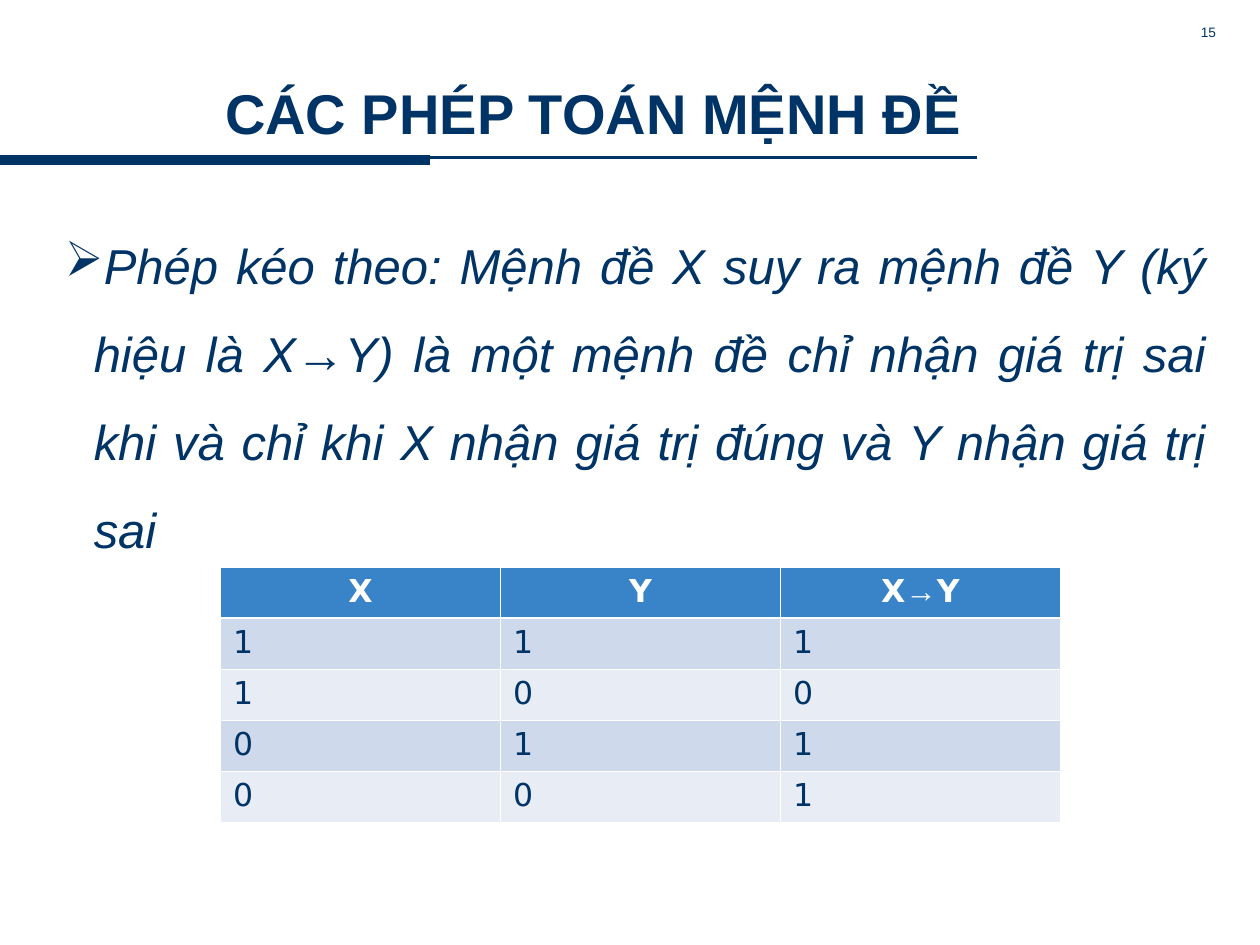
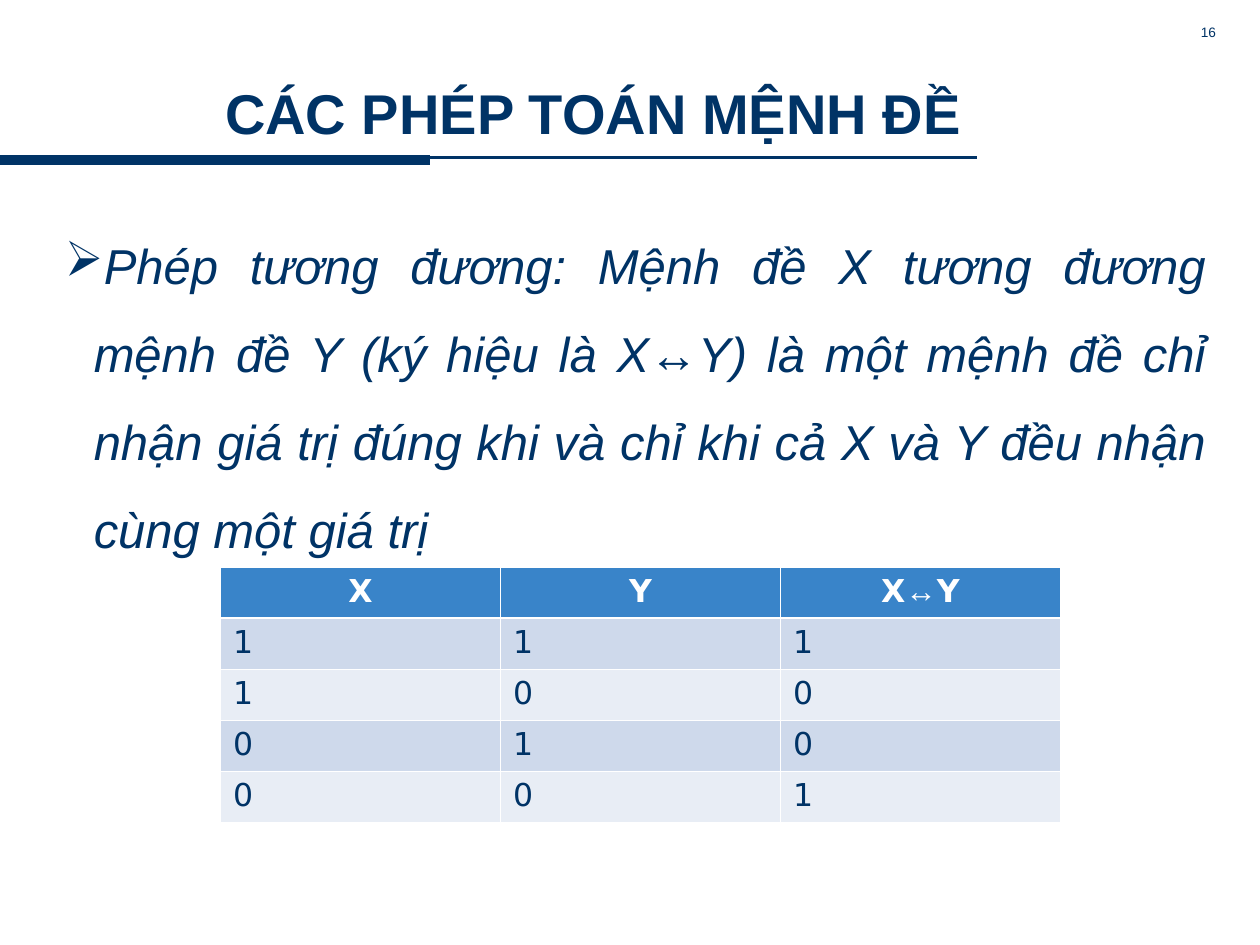
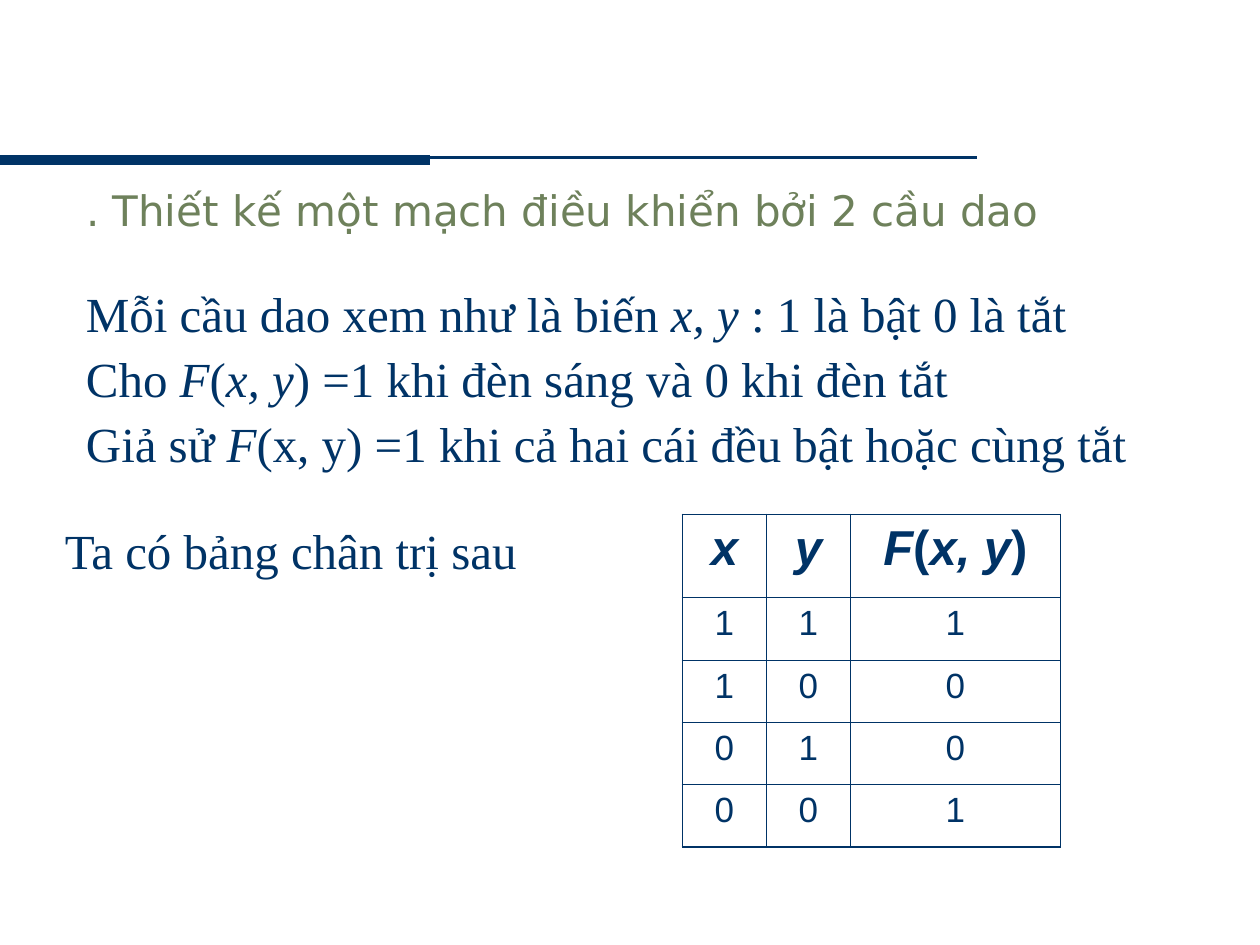
from dataclasses import dataclass
from typing import NamedTuple, Optional

from lxml.etree import SubElement
from pptx import Presentation
from pptx.dml.color import RGBColor
from pptx.enum.shapes import MSO_CONNECTOR
from pptx.enum.text import MSO_ANCHOR, MSO_AUTO_SIZE, PP_ALIGN
from pptx.oxml.ns import qn
from pptx.util import Pt


@dataclass(frozen=True)
class Theme:
    navy: str = "003366"
    white: str = "FFFFFF"
    olive: str = "6E815B"
    header_blue: str = "3984C9"
    dark_band: str = "CED9EB"
    light_band: str = "E8EDF5"
    sans: str = "Arial"
    wide_sans: str = "DejaVu Sans"
    serif: str = "Times New Roman"
    title_size: float = 32
    body_size: float = 28
    heading_size: float = 24
    plain_cell_size: float = 20
    banded_cell_size: float = 18
    number_size: float = 7.8
    thin_border: float = 0.45
    outer_border: float = 1.08
    header_border: float = 1.47


THEME = Theme()


class Box(NamedTuple):
    left: float
    top: float
    width: float
    height: float


class Style(NamedTuple):
    font: str
    size: float
    color: str = THEME.navy
    bold: bool = False
    italic: bool = False
    align: PP_ALIGN = PP_ALIGN.LEFT
    line_spacing: float = 1.0
    space_before: float = 0


class Span(NamedTuple):
    text: str
    italic: Optional[bool] = None
    font: Optional[str] = None


class Rule(NamedTuple):
    start: float
    end: float
    top: float
    weight: float


class Borders(NamedTuple):
    left: float
    right: float
    top: float
    bottom: float


@dataclass(frozen=True)
class TruthTable:
    left: float
    top: float
    column_widths: list
    header_height: float
    row_height: float
    header: list
    values: list
    header_style: Style
    value_style: Style
    banded: bool


@dataclass(frozen=True)
class OperationSlide:
    number: int
    definition: str
    operator: str
    results: str


TITLE = "CÁC PHÉP TOÁN MỆNH ĐỀ"
INPUTS = ["11", "10", "01", "00"]
RULES = [Rule(558, 0, 90, 1.5), Rule(0, 246, 91.5, 6)]
TITLE_BOX = Box(36, 42, 606, 44.4)
NUMBER_BOX = Box(564, 12, 138, 18)
DEFINITION_BOX = Box(30, 114, 666, 209)
HEADING_BOX = Box(42, 102, 636, 78)
ASSUMPTION_BOX = Box(42, 162, 660, 112)
TABLE_NOTE_BOX = Box(30, 294, 312, 41)

TITLE_STYLE = Style(THEME.sans, THEME.title_size, bold=True, align=PP_ALIGN.CENTER)
NUMBER_STYLE = Style(THEME.sans, THEME.number_size, align=PP_ALIGN.RIGHT, line_spacing=0.8)
DEFINITION_STYLE = Style(THEME.sans, THEME.body_size, italic=True,
                         align=PP_ALIGN.JUSTIFY, line_spacing=1.5)
HEADING_STYLE = Style(THEME.wide_sans, THEME.heading_size, THEME.olive)
ASSUMPTION_STYLE = Style(THEME.serif, THEME.body_size, line_spacing=0.9, space_before=7)
TABLE_NOTE_STYLE = Style(THEME.serif, THEME.body_size)
BANDED_HEADER = Style(THEME.wide_sans, THEME.banded_cell_size, THEME.white,
                      bold=True, align=PP_ALIGN.CENTER)
BANDED_VALUE = Style(THEME.wide_sans, THEME.banded_cell_size)
PLAIN_HEADER = Style(THEME.sans, THEME.body_size, bold=True, italic=True,
                     align=PP_ALIGN.CENTER)
PLAIN_VALUE = Style(THEME.sans, THEME.plain_cell_size, align=PP_ALIGN.CENTER)

OPERATIONS = [
    OperationSlide(
        15,
        "Phép kéo theo: Mệnh đề X suy ra mệnh đề Y (ký hiệu là X→Y) là một mệnh đề "
        "chỉ nhận giá trị sai khi và chỉ khi X nhận giá trị đúng và Y nhận giá trị sai",
        "→", "1011"),
    OperationSlide(
        16,
        "Phép tương đương: Mệnh đề X tương đương mệnh đề Y (ký hiệu là X↔Y) là một "
        "mệnh đề chỉ nhận giá trị đúng khi và chỉ khi cả X và Y đều nhận cùng một giá trị",
        "↔", "1001"),
]

HEADING = ". Thiết kế một mạch điều khiển bởi 2 cầu dao"
ASSUMPTIONS = [
    [Span("Mỗi cầu dao xem như là biến "), Span("x, y ", italic=True),
     Span(": 1 là bật 0 là tắt")],
    [Span("Cho "), Span("F", italic=True), Span("("), Span("x, y", italic=True),
     Span(") =1 khi đèn sáng và 0 khi đèn tắt")],
    [Span("Giả sử "), Span("F", italic=True),
     Span("(x, y) =1 khi cả hai cái đều bật hoặc cùng tắt")],
]
TABLE_NOTE = "Ta có bảng chân trị sau"


def truth_rows(results: str) -> list:
    return [list(inputs + result) for inputs, result in zip(INPUTS, results)]


def write_paragraph(paragraph, content, style: Style) -> None:
    spans = [Span(content)] if isinstance(content, str) else content
    paragraph.alignment = style.align
    paragraph.line_spacing = style.line_spacing
    for span in spans:
        run = paragraph.add_run()
        run.text = span.text
        run.font.name = span.font or style.font
        run.font.size = Pt(style.size)
        run.font.bold = style.bold
        run.font.italic = style.italic if span.italic is None else span.italic
        run.font.color.rgb = RGBColor.from_string(style.color)


def write_paragraphs(text_frame, contents: list, style: Style) -> None:
    for index, content in enumerate(contents):
        paragraph = text_frame.add_paragraph() if index else text_frame.paragraphs[0]
        paragraph.space_before = Pt(style.space_before if index else 0)
        write_paragraph(paragraph, content, style)


def place(shape, box: Box) -> None:
    shape.left, shape.top, shape.width, shape.height = map(Pt, box)


def add_text(slide, box: Box, contents: list, style: Style, grows: bool = True):
    shape = slide.shapes.add_textbox(*map(Pt, box))
    text_frame = shape.text_frame
    text_frame.word_wrap = True
    text_frame.auto_size = MSO_AUTO_SIZE.SHAPE_TO_FIT_TEXT if grows else MSO_AUTO_SIZE.NONE
    write_paragraphs(text_frame, contents, style)
    return shape


def add_arrow_bullet(paragraph) -> None:
    properties = paragraph._p.get_or_add_pPr()
    properties.set("marL", str(Pt(16.5)))
    properties.set("indent", str(-Pt(16.5)))
    color = SubElement(properties, qn("a:buClr"))
    SubElement(color, qn("a:srgbClr"), val=THEME.navy)
    SubElement(properties, qn("a:buChar"), char="➢")


def add_rule(slide, rule: Rule) -> None:
    connector = slide.shapes.add_connector(
        MSO_CONNECTOR.STRAIGHT, Pt(rule.start), Pt(rule.top), Pt(rule.end), Pt(rule.top))
    connector.line.color.rgb = RGBColor.from_string(THEME.navy)
    connector.line.width = Pt(rule.weight)
    SubElement(connector._element.spPr, qn("a:effectLst"))


def add_titled_slide(presentation, title: str, box: Box, style: Style, anchor: MSO_ANCHOR):
    slide = presentation.slides.add_slide(presentation.slide_layouts[5])
    for rule in RULES:
        add_rule(slide, rule)
    shape = slide.shapes.title
    place(shape, box)
    shape.text_frame.auto_size = MSO_AUTO_SIZE.NONE
    shape.text_frame.vertical_anchor = anchor
    write_paragraphs(shape.text_frame, [title], style)
    return slide


def set_borders(cell, borders: Borders, color: str) -> None:
    properties = cell._tc.get_or_add_tcPr()
    for side, weight in zip("LRTB", borders):
        line = SubElement(properties, qn(f"a:ln{side}"), w=str(Pt(weight)))
        fill = SubElement(line, qn("a:solidFill"))
        SubElement(fill, qn("a:srgbClr"), val=color)


def banded_borders(row: int) -> Borders:
    thin, thick = THEME.thin_border, THEME.header_border
    return Borders(thin, thin, thick if row == 1 else thin, thick if row == 0 else thin)


def framed_borders(row: int, column: int, last_row: int, last_column: int) -> Borders:
    at_edge = (column == 0, column == last_column, row == 0, row == last_row)
    return Borders(*(THEME.outer_border if edge else THEME.thin_border for edge in at_edge))


def band_color(row: int) -> str:
    if row == 0:
        return THEME.header_blue
    return THEME.dark_band if row % 2 else THEME.light_band


def add_truth_table(slide, truth: TruthTable) -> None:
    contents = [truth.header] + truth.values
    heights = [truth.header_height] + [truth.row_height] * len(truth.values)
    box = Box(truth.left, truth.top, sum(truth.column_widths), sum(heights))
    table = slide.shapes.add_table(
        len(contents), len(truth.header), *map(Pt, box)).table
    table.horz_banding = False
    for column, width in zip(table.columns, truth.column_widths):
        column.width = Pt(width)
    for row, height in zip(table.rows, heights):
        row.height = Pt(height)
    for row, values in enumerate(contents):
        for column, content in enumerate(values):
            cell = table.cell(row, column)
            style = truth.value_style if row else truth.header_style
            write_paragraphs(cell.text_frame, [content], style)
            if truth.banded:
                set_borders(cell, banded_borders(row), THEME.white)
                cell.fill.solid()
                cell.fill.fore_color.rgb = RGBColor.from_string(band_color(row))
            else:
                borders = framed_borders(row, column, len(contents) - 1, len(values) - 1)
                set_borders(cell, borders, THEME.navy)
                cell.fill.background()


def add_operation_slide(presentation, operation: OperationSlide) -> None:
    slide = add_titled_slide(presentation, TITLE, TITLE_BOX, TITLE_STYLE, MSO_ANCHOR.MIDDLE)
    add_text(slide, NUMBER_BOX, [str(operation.number)], NUMBER_STYLE, grows=False)
    definition = add_text(slide, DEFINITION_BOX, [operation.definition], DEFINITION_STYLE)
    add_arrow_bullet(definition.text_frame.paragraphs[0])
    formula = [Span("X"), Span(operation.operator, font=THEME.sans), Span("Y")]
    add_truth_table(slide, TruthTable(
        126, 324, [160] * 3, 29.2, 29.2, ["X", "Y", formula],
        truth_rows(operation.results), BANDED_HEADER, BANDED_VALUE, banded=True))


def add_circuit_slide(presentation) -> None:
    slide = add_titled_slide(presentation, HEADING, HEADING_BOX, HEADING_STYLE, MSO_ANCHOR.TOP)
    add_text(slide, ASSUMPTION_BOX, ASSUMPTIONS, ASSUMPTION_STYLE)
    formula = [Span("F"), Span("(", italic=False), Span("x, y"), Span(")", italic=False)]
    add_truth_table(slide, TruthTable(
        390, 294, [48, 48, 120], 47.6, 35.6, ["x", "y", formula],
        truth_rows("1001"), PLAIN_HEADER, PLAIN_VALUE, banded=False))
    add_text(slide, TABLE_NOTE_BOX, [TABLE_NOTE], TABLE_NOTE_STYLE)


def main() -> None:
    presentation = Presentation()
    presentation.slide_width = Pt(720)
    presentation.slide_height = Pt(540)
    for operation in OPERATIONS:
        add_operation_slide(presentation, operation)
    add_circuit_slide(presentation)
    presentation.save("out.pptx")


if __name__ == "__main__":
    main()
